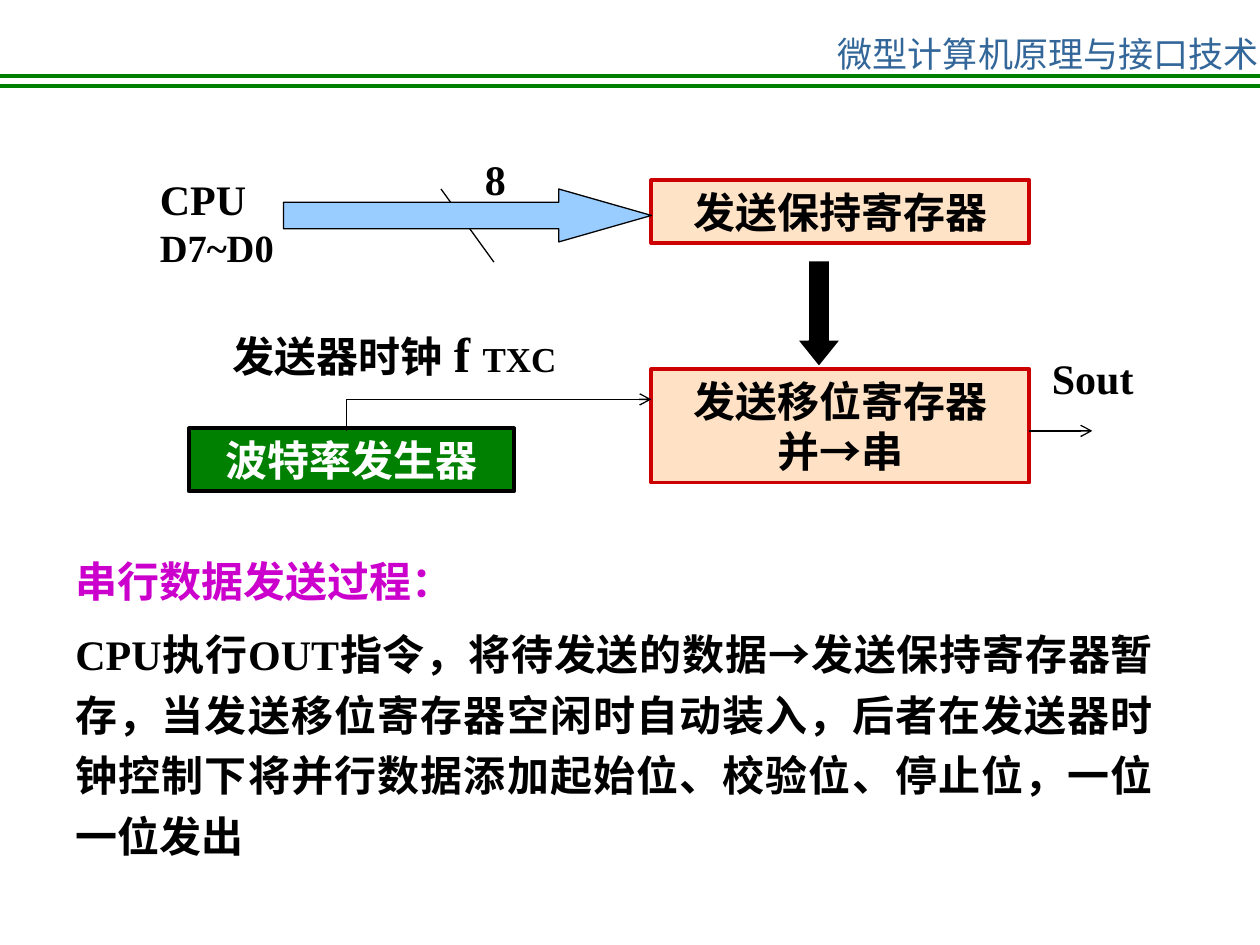
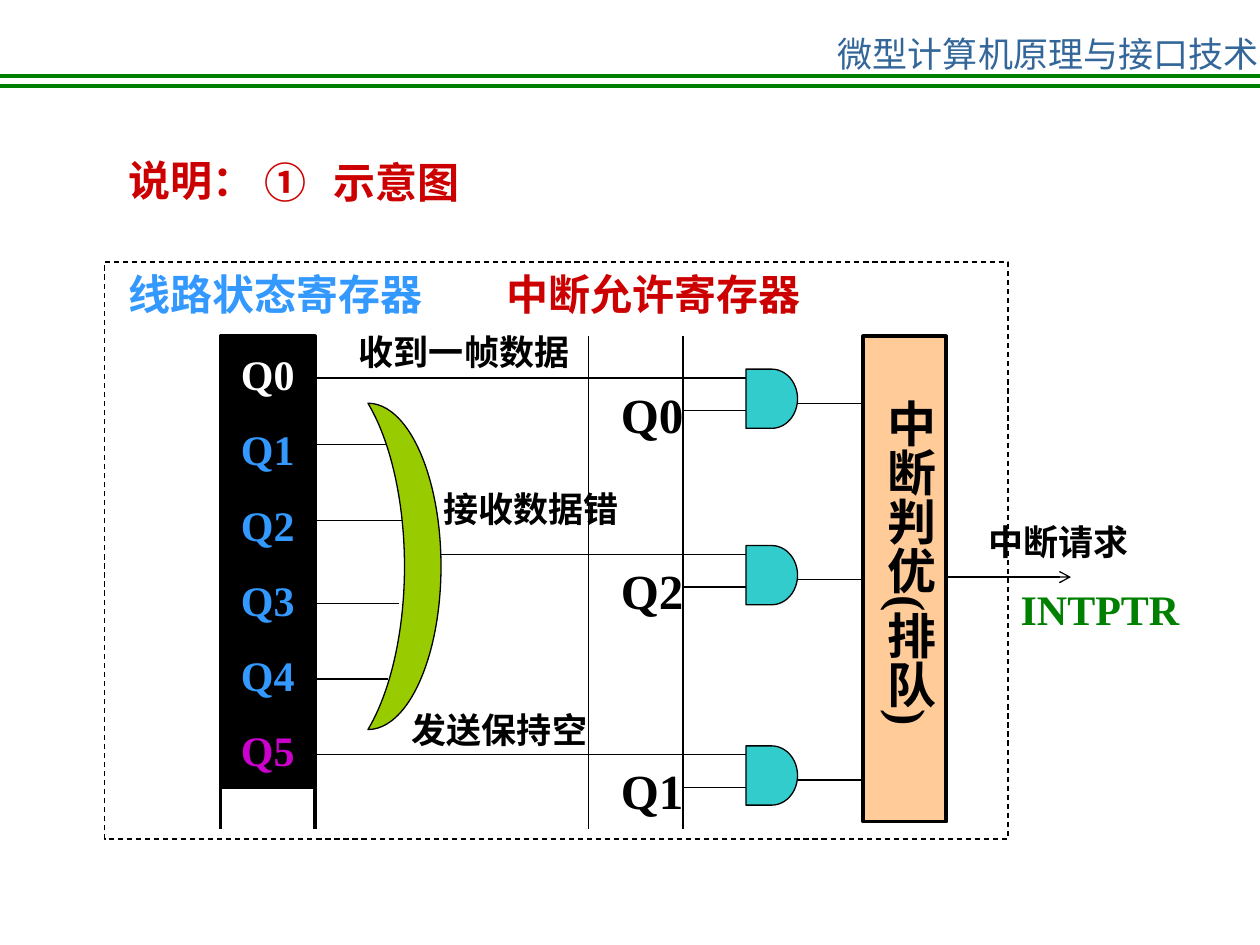
from lxml import etree
from pptx import Presentation
from pptx.dml.color import RGBColor
from pptx.enum.dml import MSO_LINE
from pptx.enum.shapes import MSO_CONNECTOR, MSO_SHAPE
from pptx.enum.text import MSO_ANCHOR, PP_ALIGN
from pptx.oxml.ns import qn
from pptx.util import Inches, Pt

COLORS = {
    "black": "000000", "white": "FFFFFF", "green": "008000", "header": "336699",
    "red": "CC0000", "magenta": "CC00CC", "blue": "3399FF", "sky": "99CCFF",
    "peach": "FFCC99", "lime": "99CC00", "teal": "33CCCC",
}
SERIF, SANS, ARIAL = "Times New Roman", "Noto Sans CJK SC", "Arial"
LEFT, CENTER, JUSTIFY = PP_ALIGN.LEFT, PP_ALIGN.CENTER, PP_ALIGN.JUSTIFY
THIN, THICK = 0.75, 2.25

HEADER = "微型计算机原理与接口技术"
BAND_YS = [0.6, 0.68]

ARROW = ("→", {"font": SANS})
PROCESS = [
    "CPU执行OUT指令，将待发送的数据",
    ARROW,
    "发送保持寄存器暂存，当发送移位寄存器空闲时自动装入，"
    "后者在发送器时钟控制下将并行数据添加起始位、校验位、停止位，一位一位发出",
]
SENDER_TEXTS = [
    ((0.5, 4.36, 8.75, 0.5), ["串行数据发送过程："], {"color": "magenta", "align": JUSTIFY}),
    ((0.5, 4.86, 8.75, 2.02), [PROCESS], {"align": JUSTIFY, "spacing": 1.2}),
    ((1.75, 2.52, 3.42, 0.57),
     [["发送器时钟", (" f ", {"size": 28}), ("TXC", {"size": 20})]], {}),
    ((8.25, 2.75, 1, 0.5), ["Sout"], {}),
    ((1.17, 1.33, 1.42, 0.87), ["CPU", [("D7~D0", {"size": 22})]], {}),
    ((3.75, 1.17, 1.08, 0.5), ["8"], {}),
]
SENDER_BOXES = [
    ((5.17, 1.43, 3, 0.5), ["发送保持寄存器"], "peach", "red", 54, "black"),
    ((5.17, 2.93, 3, 0.9), ["发送移位寄存器", ["并", ARROW, "串"]], "peach", "red", 57, "black"),
    ((1.5, 3.4, 2.58, 0.5), ["波特率发生器"], "green", "black", None, "white"),
]
SENDER_LINES = [
    ((8.17, 3.42), (8.67, 3.42), True),
    ((2.75, 3.17), (5.17, 3.17), True),
    ((2.75, 3.17), (2.75, 3.42), False),
    ((3.5, 1.5), (3.92, 2.08), False),
]
BLOCK_ARROWS = [
    (MSO_SHAPE.DOWN_ARROW, (6.33, 2.07, 0.34, 0.84), (0.5, 0.62), "black", "white"),
    (MSO_SHAPE.RIGHT_ARROW, (2.25, 1.5, 2.92, 0.42), (0.5, 1.75), "sky", "black"),
]

STATUS_BITS = [("Q0", "white"), ("Q1", "blue"), ("Q2", "blue"),
               ("Q3", "blue"), ("Q4", "blue"), ("Q5", "magenta")]
STATUS_LEFT, STATUS_RIGHT, STATUS_TOP, STATUS_END = 1.75, 2.5, 2.67, 6.25
COLUMN_BOTTOM = 6.58
ERROR_INPUTS = [(3.53, 3.08), (4.13, 3.25), (4.79, 3.17), (5.39, 3.08)]
ENABLE_XS = [4.67, 5.42]
GATES = [("Q0", 2.93, 2.5), ("Q2", 4.33, 3.5), ("Q1", 5.92, 2.5)]
GATE_LEFT, GATE_RIGHT, ARBITER_LEFT = 5.92, 6.33, 6.85
INTERRUPT_TEXTS = [
    ((0.92, 1.18, 2.83, 0.5), ["说明："], {"color": "red", "align": JUSTIFY}),
    ((2, 1.19, 4.08, 0.5), [[("①\t", {"font": ARIAL}), "示意图"]], {"color": "red", "tab": 0.55}),
    ((0.92, 2.08, 3.33, 0.5), ["线路状态寄存器"], {"color": "blue"}),
    ((3.92, 2.08, 3, 0.5), ["中断允许寄存器"], {"color": "red"}),
    ((2.75, 2.57, 3.42, 0.44), ["收到一帧数据"], {"size": 20, "align": JUSTIFY}),
    ((3.42, 3.82, 3.42, 0.44), ["接收数据错"], {"size": 20, "align": JUSTIFY}),
    ((3.17, 5.57, 3.42, 0.44), ["发送保持空"], {"size": 20, "align": JUSTIFY}),
    ((7.75, 4.08, 1.83, 0.44), ["中断请求"], {"size": 20, "align": JUSTIFY}),
    ((8, 4.58, 1.46, 0.5), ["INTPTR"], {"color": "green", "align": CENTER, "wrap": False}),
]


def rgb(name):
    return RGBColor.from_string(COLORS[name])


def inches(at):
    return [Inches(v) for v in at]


def set_margins(sp, left, top, right, bottom):
    tf = sp.text_frame
    tf.margin_left, tf.margin_top = Inches(left), Inches(top)
    tf.margin_right, tf.margin_bottom = Inches(right), Inches(bottom)


def set_text(sp, paragraphs, size=24, color="black", align=LEFT, font=SERIF,
             bold=True, wrap=True, spacing=None, tab=None, anchor=MSO_ANCHOR.TOP):
    tf = sp.text_frame
    tf.word_wrap = wrap
    tf.vertical_anchor = anchor
    for i, parts in enumerate(paragraphs):
        p = tf.add_paragraph() if i else tf.paragraphs[0]
        p.alignment = align
        if spacing:
            p.line_spacing = spacing
        if tab:
            tabs = etree.SubElement(p._p.get_or_add_pPr(), qn("a:tabLst"))
            etree.SubElement(tabs, qn("a:tab"), pos=str(Inches(tab)), algn="l")
        for part in [parts] if isinstance(parts, str) else parts:
            text, look = (part, {}) if isinstance(part, str) else part
            r = p.add_run()
            r.text = text
            r.font.size = Pt(look.get("size", size))
            r.font.bold = bold
            r.font.color.rgb = rgb(color)
            r.font.name = look.get("font", font)
            etree.SubElement(r._r.get_or_add_rPr(), qn("a:ea"), typeface=SANS)


def add_text(s, at, paragraphs, **look):
    sp = s.shapes.add_textbox(*inches(at))
    set_text(sp, paragraphs, **look)
    return sp


def add_shape(s, kind, at, fill=None, line="black", width=THIN, opacity=None):
    sp = s.shapes.add_shape(kind, *inches(at))
    sp.shadow.inherit = False
    if fill:
        sp.fill.solid()
        sp.fill.fore_color.rgb = rgb(fill)
    else:
        sp.fill.background()
    if opacity:
        clr = sp._element.spPr.find(qn("a:solidFill"))[0]
        etree.SubElement(clr, qn("a:alpha"), val=str(opacity * 1000))
    sp.line.color.rgb = rgb(line)
    sp.line.width = Pt(width)
    return sp


def add_line(s, start, end, arrow=False, color="black", width=THIN):
    c = s.shapes.add_connector(MSO_CONNECTOR.STRAIGHT, *inches(start + end))
    c.line.color.rgb = rgb(color)
    c.line.width = Pt(width)
    if arrow:
        etree.SubElement(c.line._get_or_add_ln(), qn("a:tailEnd"), type="arrow")
    etree.SubElement(c._element.spPr, qn("a:effectLst"))


def new_slide(prs):
    s = prs.slides.add_slide(prs.slide_layouts[6])
    for y in BAND_YS:
        add_line(s, (0, y), (10, y), color="green", width=THICK)
    header = add_text(s, (6.64, 0.21, 3.36, 0.24), [HEADER], size=20, color="header",
                      align=CENTER, font=SANS, bold=False)
    set_margins(header, 0, 0.05, 0, 0.05)
    return s


def build_sender(prs):
    s = new_slide(prs)
    for at, paragraphs, fill, line, opacity, color in SENDER_BOXES:
        sp = add_shape(s, MSO_SHAPE.RECTANGLE, at, fill, line, THICK, opacity)
        set_text(sp, paragraphs, color=color, align=CENTER)
    for line in SENDER_LINES:
        add_line(s, *line)
    for at, paragraphs, look in SENDER_TEXTS:
        add_text(s, at, paragraphs, **look)
    for kind, at, adjustments, fill, line in BLOCK_ARROWS:
        sp = add_shape(s, kind, at, fill, line)
        for i, value in enumerate(adjustments):
            sp.adjustments[i] = value


def build_interrupts(prs):
    s = new_slide(prs)
    pitch = (STATUS_END - STATUS_TOP) / len(STATUS_BITS)
    for i, (bit, color) in enumerate(STATUS_BITS):
        at = (STATUS_LEFT, STATUS_TOP + i * pitch, STATUS_RIGHT - STATUS_LEFT, pitch)
        sp = add_shape(s, MSO_SHAPE.RECTANGLE, at, "black", width=THICK)
        set_text(sp, [bit], color=color, align=CENTER, wrap=False, anchor=MSO_ANCHOR.MIDDLE)
    for x in (STATUS_LEFT, STATUS_RIGHT):
        add_line(s, (x, STATUS_END), (x, COLUMN_BOTTOM), width=THICK)

    for y, end in ERROR_INPUTS:
        add_line(s, (STATUS_RIGHT, y), (end, y))
    or_gate = add_shape(s, MSO_SHAPE.MOON, (2.92, 3.2, 0.58, 2.59), "lime")
    or_gate.rotation = 180

    for x in ENABLE_XS:
        add_line(s, (x, STATUS_TOP), (x, COLUMN_BOTTOM))
    for bit, top, signal_start in GATES:
        signal, enable, output = top + 0.07, top + 0.33, top + 0.27
        add_text(s, (4.83, signal, 1.17, 0.57), [bit], size=28)
        add_line(s, (signal_start, signal), (GATE_LEFT, signal))
        add_line(s, (ENABLE_XS[1], enable), (GATE_LEFT, enable))
        add_line(s, (GATE_RIGHT, output), (ARBITER_LEFT, output))
        add_shape(s, MSO_SHAPE.FLOWCHART_DELAY,
                  (GATE_LEFT, top, GATE_RIGHT - GATE_LEFT, 0.47), "teal")

    arbiter = add_shape(s, MSO_SHAPE.RECTANGLE, (ARBITER_LEFT, STATUS_TOP, 0.66, 3.85),
                        "peach", width=THICK)
    set_text(arbiter, ["中断判优(排队)"], size=28, align=CENTER)
    set_margins(arbiter, 0.05, 0.5, 0.05, 0.3)
    arbiter.text_frame._txBody.bodyPr.set("vert", "eaVert")
    add_line(s, (7.5, 4.58), (8.5, 4.58), arrow=True)

    for at, paragraphs, look in INTERRUPT_TEXTS:
        add_text(s, at, paragraphs, **look)
    frame = add_shape(s, MSO_SHAPE.RECTANGLE, (0.83, 2.08, 7.17, 4.58))
    frame.line.dash_style = MSO_LINE.DASH


def main():
    prs = Presentation()
    prs.slide_width, prs.slide_height = Inches(10), Inches(7.5)
    build_sender(prs)
    build_interrupts(prs)
    prs.save("out.pptx")


if __name__ == "__main__":
    main()
